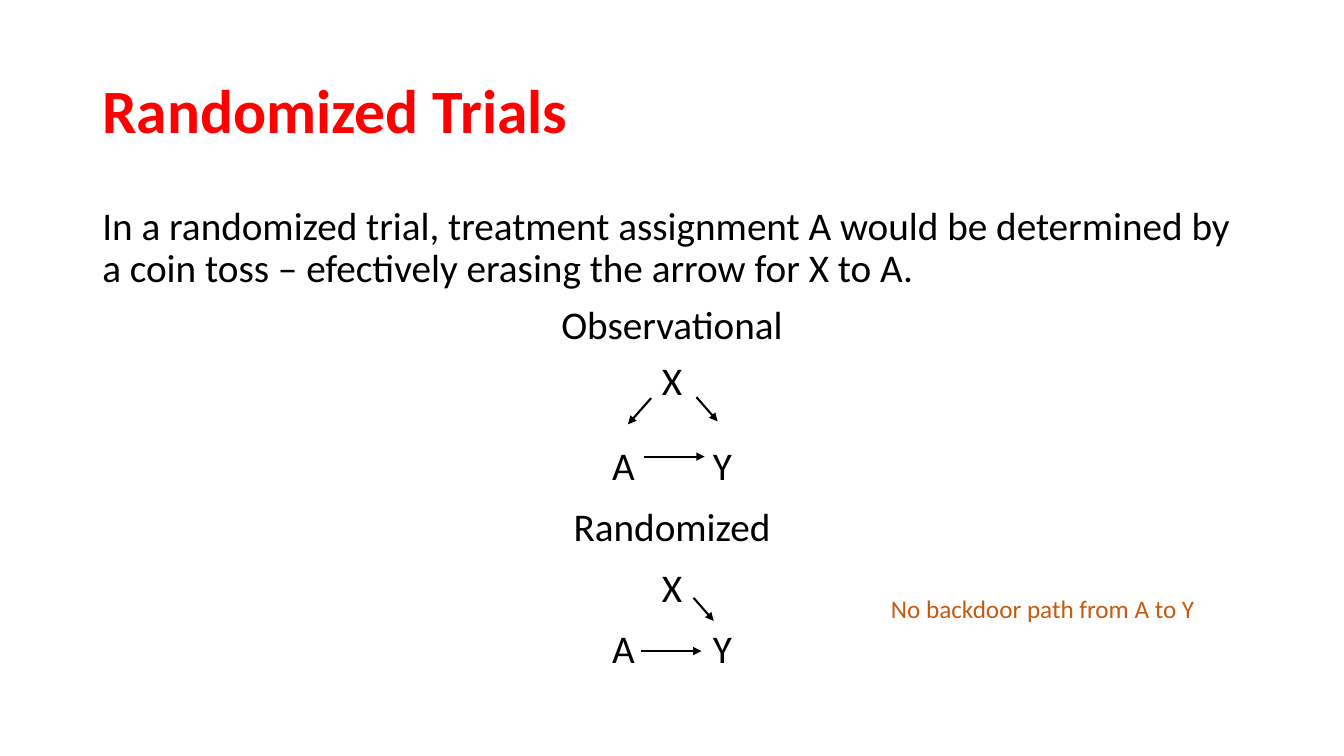
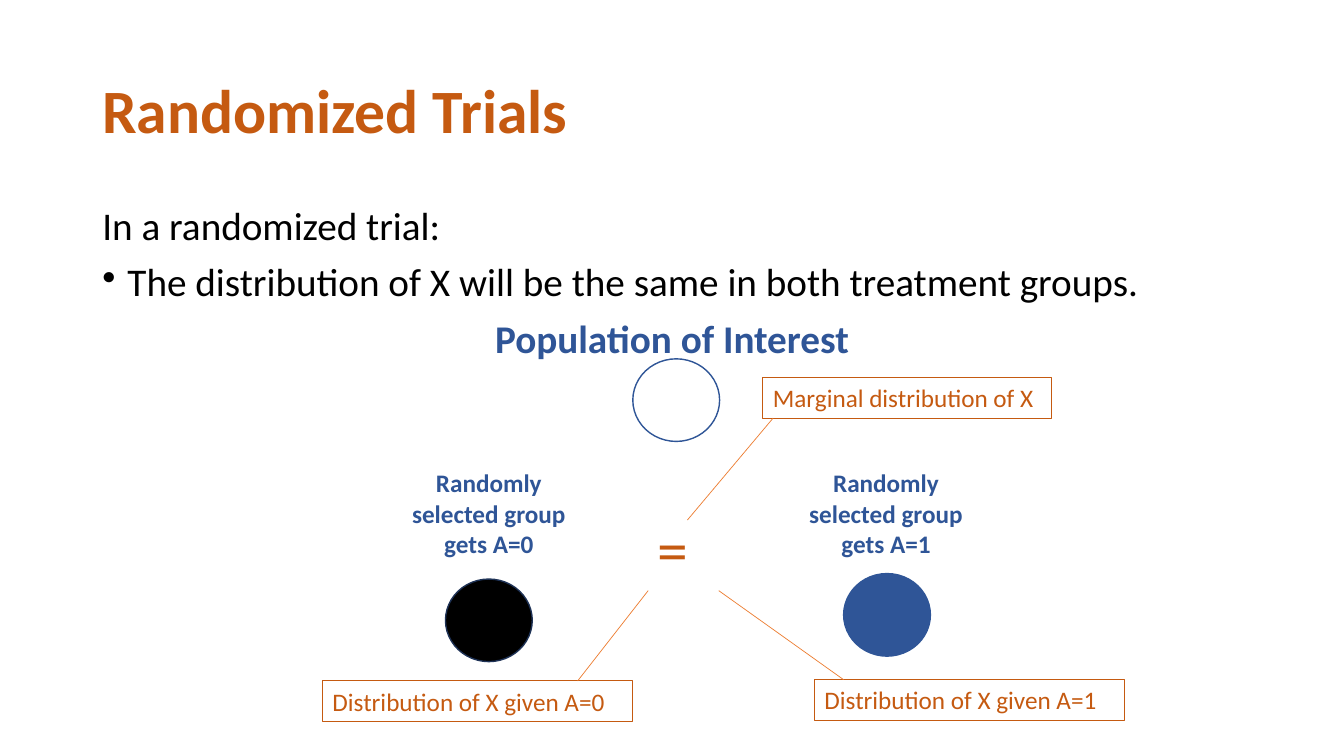
"""Build two slides on randomized trials."""
from pptx import Presentation
from pptx import util as u
from pptx.dml.color import RGBColor
from pptx.enum import shapes, text
from pptx.oxml.ns import qn
from lxml import etree

RED, ORANGE, PALE_ORANGE = "FF0000", "C55A11", "ED7D31"
BLUE, NAVY, BLACK, WHITE = "2F5597", "1E3256", "000000", "FFFFFF"
CENTER = text.PP_ALIGN.CENTER


def color(hex_code):
    return RGBColor.from_string(hex_code)


class Deck:
    """Holds the shared style and the slide being drawn."""

    FONT = "Calibri"
    TITLE_SIZE, BODY_SIZE, LABEL_SIZE = 44, 28, 18
    LEFT, WIDTH, TAB = 66, 828, 72

    def __init__(self):
        self.prs = Presentation()
        self.prs.slide_width, self.prs.slide_height = u.Pt(960), u.Pt(540)
        self.slide = None

    def start(self, title, title_color):
        self.slide = self.prs.slides.add_slide(self.prs.slide_layouts[6])
        frame = self.frame(self.LEFT, 28.8, self.WIDTH, 104.4).text_frame
        frame.vertical_anchor = text.MSO_ANCHOR.MIDDLE
        heading = frame.paragraphs[0]
        heading.text, heading.line_spacing = title, 0.9
        self.style(heading, self.TITLE_SIZE, title_color, True)

    def frame(self, x, y, w, h):
        box = self.slide.shapes.add_textbox(u.Pt(x), u.Pt(y), u.Pt(w), u.Pt(h))
        box.text_frame.word_wrap = True
        return box

    def style(self, paragraph, size, ink, bold=False):
        font = paragraph.font
        font.name, font.size, font.bold = self.FONT, u.Pt(size), bold
        font.color.rgb = color(ink)

    def body(self, rows):
        frame = self.frame(self.LEFT, 144, self.WIDTH, 342.7).text_frame
        for index, (words, options) in enumerate(rows):
            line = frame.add_paragraph() if index else frame.paragraphs[0]
            line.text = words
            line.alignment = options.get("align")
            line.line_spacing = options.get("spacing", 0.9)
            line.space_before = u.Pt(10)
            if options.get("bullet"):
                self.bullet(line)
            if "\t" in words:
                self.tab_stop(line)
            self.style(line, self.BODY_SIZE, options.get("ink", BLACK),
                       options.get("bold", False))

    def bullet(self, paragraph):
        props = paragraph._p.get_or_add_pPr()
        props.set("marL", str(u.Pt(18)))
        props.set("indent", str(u.Pt(-18)))
        etree.SubElement(props, qn("a:buChar")).set("char", "•")

    def tab_stop(self, paragraph):
        props = paragraph._p.get_or_add_pPr()
        props.set("defTabSz", str(u.Pt(self.TAB)))
        stops = etree.SubElement(props, qn("a:tabLst"))
        stop = etree.SubElement(stops, qn("a:tab"))
        stop.set("pos", str(u.Pt(self.TAB)))
        stop.set("algn", "l")

    def label(self, words, x, y, w, h, ink=ORANGE, size=LABEL_SIZE,
              bold=False, align=None, border=None):
        box = self.frame(x, y, w, h)
        box.text_frame.auto_size = text.MSO_AUTO_SIZE.SHAPE_TO_FIT_TEXT
        line = box.text_frame.paragraphs[0]
        line.text, line.alignment = words, align
        self.style(line, size, ink, bold)
        if border:
            box.line.color.rgb = color(border)
            box.line.width = u.Pt(0.75)

    def circle(self, x, y, fill, outline):
        disc = self.slide.shapes.add_shape(
            shapes.MSO_SHAPE.OVAL, u.Pt(x), u.Pt(y), u.Pt(62), u.Pt(59))
        disc.shadow.inherit = False
        disc.fill.solid()
        disc.fill.fore_color.rgb = color(fill)
        disc.line.color.rgb = color(outline)
        disc.line.width = u.Pt(1)

    def line(self, start, end, ink, width, arrow=False):
        link = self.slide.shapes.add_connector(
            shapes.MSO_CONNECTOR.STRAIGHT, *map(u.Pt, start + end))
        link.line.color.rgb = color(ink)
        link.line.width = u.Pt(width)
        if arrow:
            tail = etree.SubElement(link.line._get_or_add_ln(), qn("a:tailEnd"))
            tail.set("type", "triangle")
        etree.SubElement(link._element.spPr, qn("a:effectLst"))


deck = Deck()

deck.start("Randomized Trials", RED)
tight = {"align": CENTER}
single = {"align": CENTER, "spacing": 1.0}
deck.body([
    ("In a randomized trial, treatment assignment A would be determined by "
     "a coin toss – efectively erasing the arrow for X to A.", {}),
    ("Observational", tight),
    ("X", tight),
    ("A\tY", {"align": CENTER, "spacing": 1.5}),
    ("Randomized", single),
    ("X", single),
    ("A\tY", single),
])
causal_arrows = [
    ((465.1, 284.4), (448.6, 303.1)),
    ((497.5, 283.7), (512.6, 301)),
    ((460.1, 326.2), (503.3, 326.2)),
    ((495.4, 427), (509.8, 443.5)),
    ((457.9, 465.1), (501.1, 465.1)),
]
for cause, effect in causal_arrows:
    deck.line(cause, effect, BLACK, 1.5, arrow=True)
deck.label("No backdoor path from A to Y", 629.3, 420.5, 264.2, 29)

deck.start("Randomized Trials", ORANGE)
deck.body([
    ("In a randomized trial:", {}),
    ("The distribution of X will be the same in both treatment groups.",
     {"bullet": True}),
    ("Population of Interest", {"align": CENTER, "ink": BLUE, "bold": True}),
])
deck.circle(452, 256.3, WHITE, BLUE)
groups = [
    (0, 277.2, (318.2, 413.6), BLACK, NAVY, (230.4, 486.4)),
    (1, 560.9, (602.6, 409.7), BLUE, BLUE, (581.8, 485.5)),
]
for arm, label_x, disc_at, fill, outline, callout_at in groups:
    deck.circle(*disc_at, fill, outline)
    deck.label(f"Randomly selected group gets A={arm}", label_x, 330.5, 144,
               72.7, ink=BLUE, bold=True, align=CENTER)
    deck.label(f"Distribution of X given A={arm}", *callout_at, 221.3, 29,
               border=ORANGE)
deck.label("Marginal distribution of X", 545, 269.7, 206.4, 29, border=ORANGE)
deck.label("=", 462.6, 361.4, 25.9, 60.5, size=Deck.TITLE_SIZE)
callout_lines = [
    ((412.6, 486.4), (463, 421.9)),
    ((602.6, 485.5), (513.4, 421.9)),
    ((552.2, 298.7), (491, 371.5)),
]
for callout, equality in callout_lines:
    deck.line(callout, equality, PALE_ORANGE, 0.5)

deck.prs.save("out.pptx")
